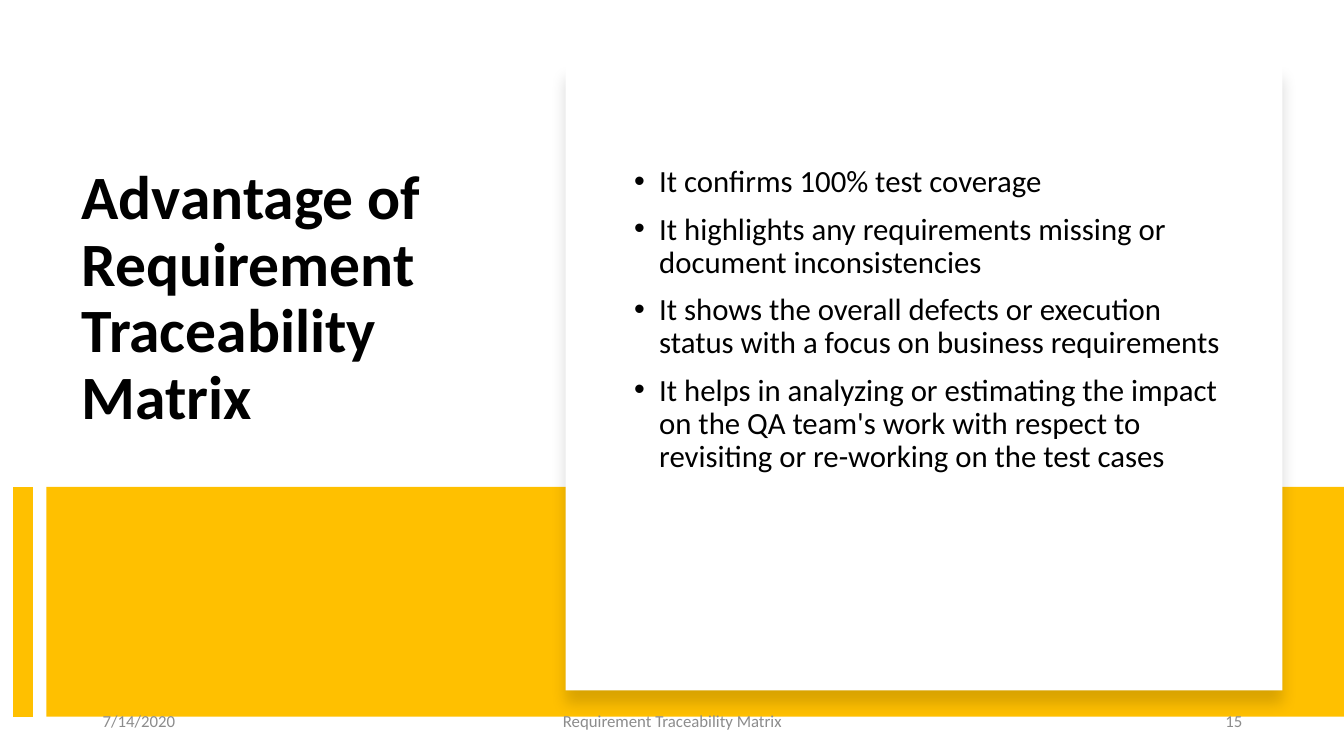
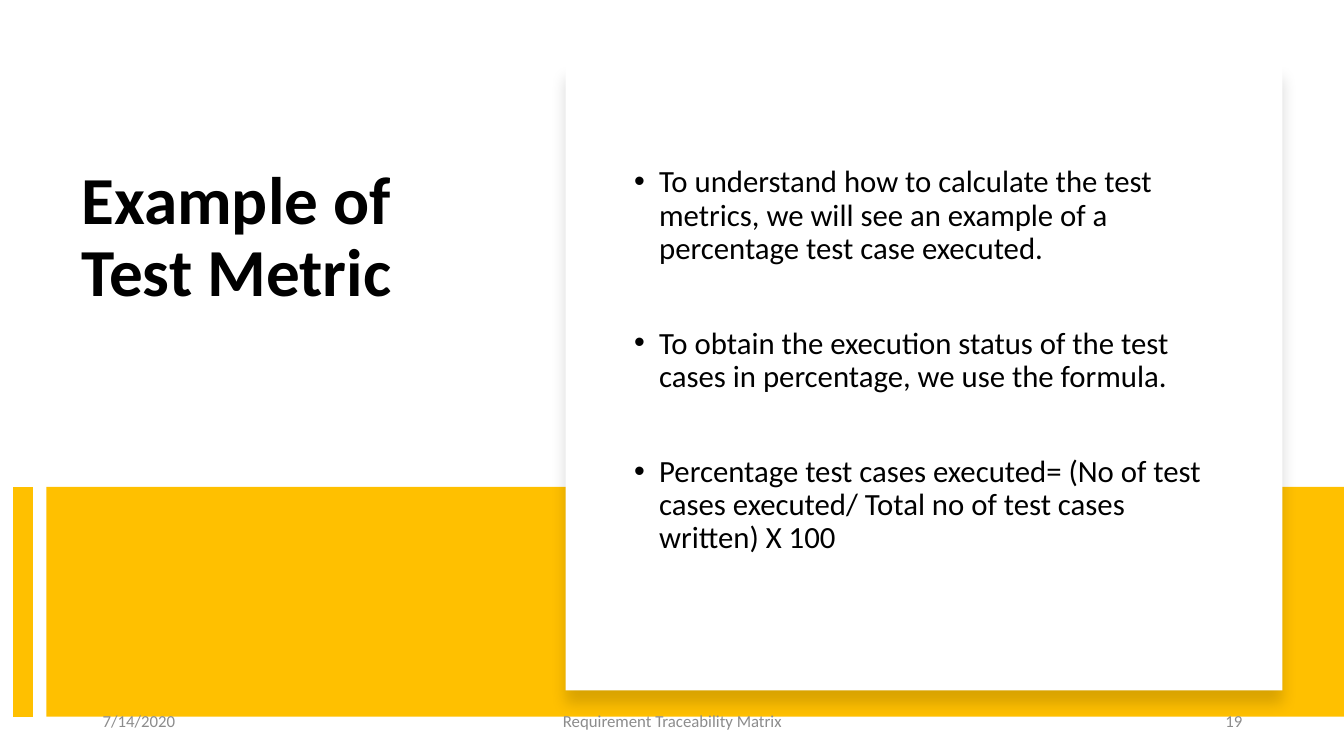
from lxml import etree
from pptx import Presentation
from pptx.dml.color import RGBColor
from pptx.enum.shapes import MSO_CONNECTOR, MSO_SHAPE
from pptx.enum.text import MSO_ANCHOR, MSO_AUTO_SIZE, PP_ALIGN
from pptx.oxml.ns import qn
from pptx.util import Inches, Pt

RECT, LINE = MSO_SHAPE.RECTANGLE, MSO_CONNECTOR.STRAIGHT
TOP, MIDDLE = MSO_ANCHOR.TOP, MSO_ANCHOR.MIDDLE
LEFT, CENTER, RIGHT = PP_ALIGN.LEFT, PP_ALIGN.CENTER, PP_ALIGN.RIGHT
NO_FIT = MSO_AUTO_SIZE.NONE

GOLD = RGBColor(0xFF, 0xC0, 0x00)
WHITE = RGBColor(0xFF, 0xFF, 0xFF)
BLACK = RGBColor(0x00, 0x00, 0x00)
GRAY = RGBColor(0x8C, 0x8C, 0x8C)
FONT = "Calibri"

DATE = "7/14/2020"
FOOTER = "Requirement Traceability Matrix"

# gap: points between bullets
SLIDES = [
    {
        "title": "Advantage of Requirement Traceability Matrix",
        "size": 44, "number": "15", "gap": 10,
        "bullets": [
            "It confirms 100% test coverage",
            "It highlights any requirements missing or document inconsistencies",
            "It shows the overall defects or execution status with a focus on "
            "business requirements",
            "It helps in analyzing or estimating the impact on the QA team's work "
            "with respect to revisiting or re-working on the test cases",
        ],
    },
    {
        "title": "Example of Test Metric",
        "size": 48, "number": "19", "gap": 44,
        "bullets": [
            "To understand how to calculate the test metrics, we will see an "
            "example of a percentage test case executed.",
            "To obtain the execution status of the test cases in percentage, "
            "we use the formula.",
            "Percentage test cases executed= (No of test cases executed/ "
            "Total no of test cases written) X 100",
        ],
    },
]

WIDTH, HEIGHT = 13.33, 7.5
BAND_TOP, BAND_HIGH = 4.83, 2.28
BAND_LEFT, BAR_X = 0.46, 0.23
TEXT_TOP = 1.6


def box(*lengths):
    return [Inches(n) for n in lengths]


def fill_text(shape, lines, size, color, bold=False, align=LEFT, anchor=TOP):
    frame = shape.text_frame
    frame.text = "\n".join(lines)
    frame.word_wrap = True
    frame.auto_size = NO_FIT
    frame.vertical_anchor = anchor
    for para in frame.paragraphs:
        para.alignment = align
        for run in para.runs:
            font = run.font
            font.name, font.size, font.bold = FONT, Pt(size), bold
            font.color.rgb = color
    return frame.paragraphs


def add_rect(slide, place, color):
    rect = slide.shapes.add_shape(RECT, *box(*place))
    rect.shadow.inherit = False
    rect.fill.solid()
    rect.fill.fore_color.rgb = color
    rect.line.fill.background()
    return rect


def add_shadow(shape):
    effects = shape._element.spPr.find(qn("a:effectLst"))
    outer = etree.SubElement(effects, qn("a:outerShdw"), blurRad=str(Pt(11)),
                             dist=str(Pt(10)), dir="5400000", algn="t",
                             rotWithShape="0")
    color = etree.SubElement(outer, qn("a:srgbClr"), val=str(BLACK))
    etree.SubElement(color, qn("a:alpha"), val="15000")


def add_frame(slide):
    """Draw the gold band, its side bar and the white card."""
    add_rect(slide, (BAND_LEFT, BAND_TOP, WIDTH - BAND_LEFT, BAND_HIGH), GOLD)
    bar = slide.shapes.add_connector(
        LINE, *box(BAR_X, BAND_TOP, BAR_X, BAND_TOP + BAND_HIGH))
    bar.line.color.rgb = GOLD
    bar.line.width = Pt(14)
    etree.SubElement(bar._element.spPr, qn("a:effectLst"))
    add_shadow(add_rect(slide, (5.61, 0.64, 7.11, 6.21), WHITE))


def add_title(slide, text, size):
    title = slide.shapes.title
    title.left, title.top, title.width, title.height = box(0.71, TEXT_TOP, 4.15, 2.94)
    for para in fill_text(title, [text], size, BLACK, bold=True):
        para.line_spacing = 0.9


def add_bullets(slide, lines, gap):
    body = slide.shapes.add_textbox(*box(6.19, TEXT_TOP, 6.06, 4.7))
    for i, para in enumerate(fill_text(body, lines, 22, BLACK)):
        para.line_spacing = 0.9
        para.space_before = Pt(gap if i else 10)
        props = para._p.get_or_add_pPr()
        props.set("marL", str(Inches(0.25)))
        props.set("indent", str(Inches(-0.25)))
        etree.SubElement(props, qn("a:buFont"), typeface="Arial")
        etree.SubElement(props, qn("a:buChar"), char="•")


def add_footer(slide, number):
    parts = [(DATE, 0.92, 3, LEFT), (FOOTER, 4.42, 4.5, CENTER),
             (number, 9.42, 3, RIGHT)]
    for text, left, wide, align in parts:
        note = slide.shapes.add_textbox(*box(left, 6.95, wide, 0.4))
        fill_text(note, [text], 12, GRAY, align=align, anchor=MIDDLE)


def main():
    deck = Presentation()
    deck.slide_width, deck.slide_height = box(WIDTH, HEIGHT)
    layout = deck.slide_layouts.get_by_name("Title Only")
    for data in SLIDES:
        slide = deck.slides.add_slide(layout)
        add_title(slide, data["title"], data["size"])
        add_frame(slide)
        add_bullets(slide, data["bullets"], data["gap"])
        add_footer(slide, data["number"])
    deck.save("out.pptx")


if __name__ == "__main__":
    main()
